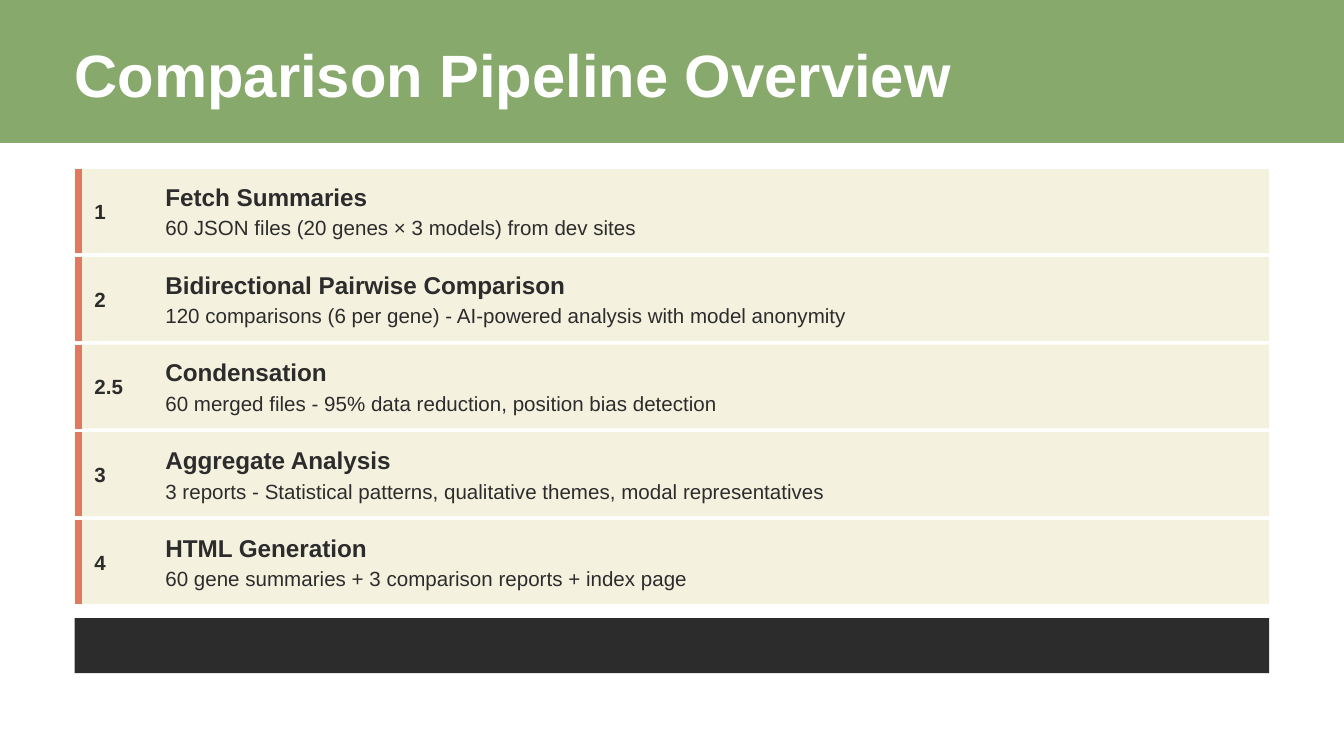
import pptx
import pptx.util
import pptx.dml.color
import pptx.enum.shapes
import pptx.enum.text
import pptx.oxml.ns
import lxml.etree

Pt = pptx.util.Pt
FONT = "Arial"
GREEN, CREAM, CORAL = "87A96B", "F4F1DE", "E07A5F"
DARK, WHITE = "2C2C2C", "FFFFFF"
LEFT, WIDTH = 40, 640
TOP, TALL, PITCH = 90.6, 45, 47

STEPS = [
    ("1", "Fetch Summaries",
     "60 JSON files (20 genes × 3 models) from dev sites"),
    ("2", "Bidirectional Pairwise Comparison",
     "120 comparisons (6 per gene) - AI-powered analysis with model anonymity"),
    ("2.5", "Condensation",
     "60 merged files - 95% data reduction, position bias detection"),
    ("3", "Aggregate Analysis",
     "3 reports - Statistical patterns, qualitative themes, modal representatives"),
    ("4", "HTML Generation",
     "60 gene summaries + 3 comparison reports + index page"),
]


def color(code):
    """Turn a hex string into a colour."""
    return pptx.dml.color.RGBColor.from_string(code)


def add_bar(slide, x, y, w, h, fill):
    """Add a plain filled rectangle."""
    kind = pptx.enum.shapes.MSO_SHAPE.RECTANGLE
    bar = slide.shapes.add_shape(kind, Pt(x), Pt(y), Pt(w), Pt(h))
    bar.shadow.inherit = False
    bar.fill.solid()
    bar.fill.fore_color.rgb = color(fill)
    bar.line.fill.background()


def add_edge(slide, x, y, h):
    """Add the coral line at the left of a step."""
    kind = pptx.enum.shapes.MSO_CONNECTOR.STRAIGHT
    edge = slide.shapes.add_connector(kind, Pt(x), Pt(y), Pt(x), Pt(y + h))
    edge.line.color.rgb = color(CORAL)
    edge.line.width = Pt(3.75)
    props = edge._element.spPr
    lxml.etree.SubElement(props, pptx.oxml.ns.qn("a:effectLst"))


def style(shape, text, size, tint, bold):
    """Fill a shape with one line of formatted text."""
    frame = shape.text_frame
    frame.text = text
    frame.word_wrap = True
    frame.auto_size = pptx.enum.text.MSO_AUTO_SIZE.NONE
    frame.vertical_anchor = pptx.enum.text.MSO_ANCHOR.TOP
    frame.margin_left = frame.margin_right = 0
    frame.margin_top = frame.margin_bottom = 0
    line = frame.paragraphs[0]
    line.alignment = pptx.enum.text.PP_ALIGN.LEFT
    font = line.runs[0].font
    font.name, font.size, font.bold = FONT, Pt(size), bold
    font.color.rgb = color(tint)
    return line


def add_text(slide, text, x, y, w, h, size, bold):
    """Add a dark text box and return its paragraph."""
    box = slide.shapes.add_textbox(Pt(x), Pt(y), Pt(w), Pt(h))
    return style(box, text, size, DARK, bold)


def add_title(slide, text):
    """Place the title in front of its green band."""
    add_bar(slide, 0, 0, 720, 76.6, GREEN)
    title = slide.shapes.title
    title.left, title.top = Pt(LEFT), Pt(20)
    title.width, title.height = Pt(653), Pt(36.8)
    style(title, text, 32, WHITE, True)
    slide.shapes._spTree.append(title._element)


def add_step(slide, y, number, head, note):
    """Add one step of the pipeline."""
    add_bar(slide, LEFT, y, WIDTH, TALL, CREAM)
    add_edge(slide, LEFT + 1.88, y, TALL)
    label = add_text(slide, number, 50.6, y + 16, 29, 13, 11, True)
    label.line_spacing = Pt(13.2)
    line = add_text(slide, head, 88.6, y + 7, 596, 16, 13, True)
    line.space_after = Pt(2)
    line = add_text(slide, note, 88.6, y + 24.8, 596, 13, 11, False)
    line.line_spacing = Pt(13.2)


def main():
    """Build the slide and save it."""
    deck = pptx.Presentation()
    deck.slide_width, deck.slide_height = Pt(720), Pt(405)
    slide = deck.slides.add_slide(deck.slide_layouts[5])
    slide.background.fill.solid()
    slide.background.fill.fore_color.rgb = color(WHITE)
    add_title(slide, "Comparison Pipeline Overview")
    for row, step in enumerate(STEPS):
        add_step(slide, TOP + row * PITCH, *step)
    add_bar(slide, LEFT, 331.2, WIDTH, 29.4, DARK)
    deck.save("out.pptx")


if __name__ == "__main__":
    main()
